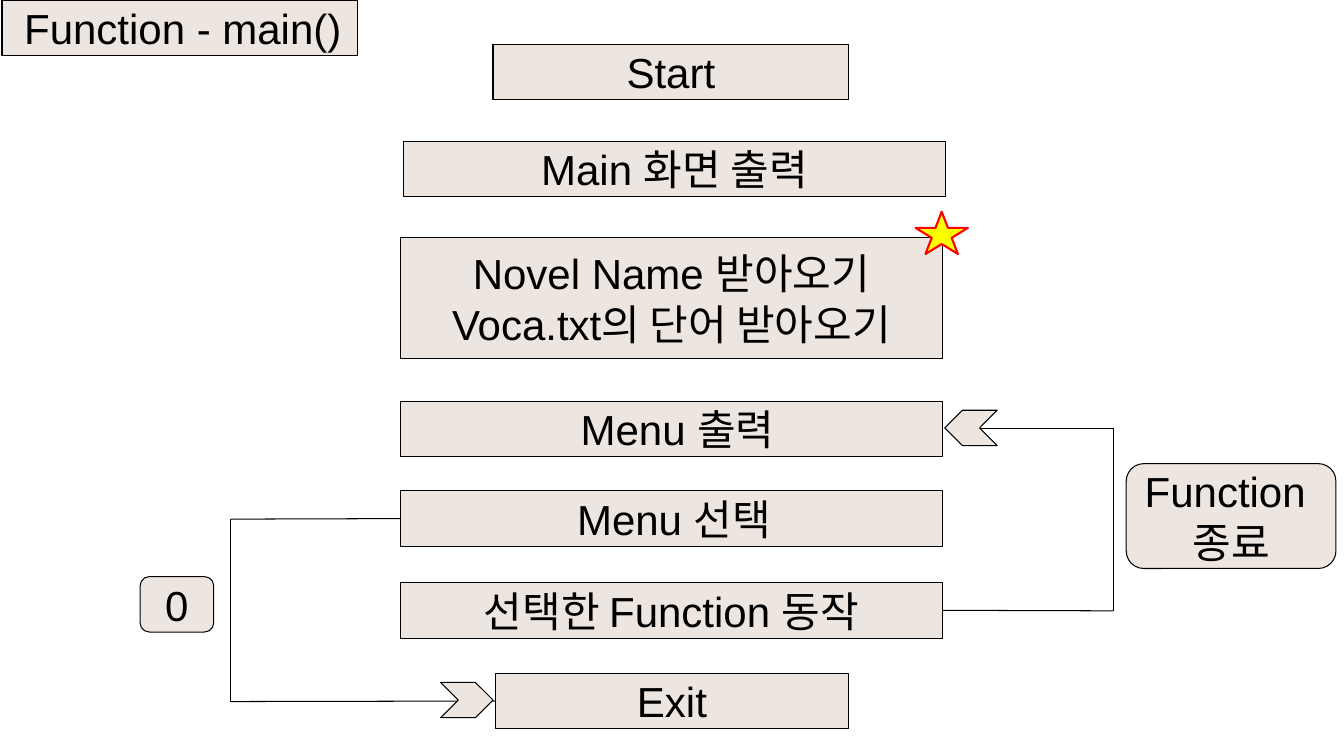
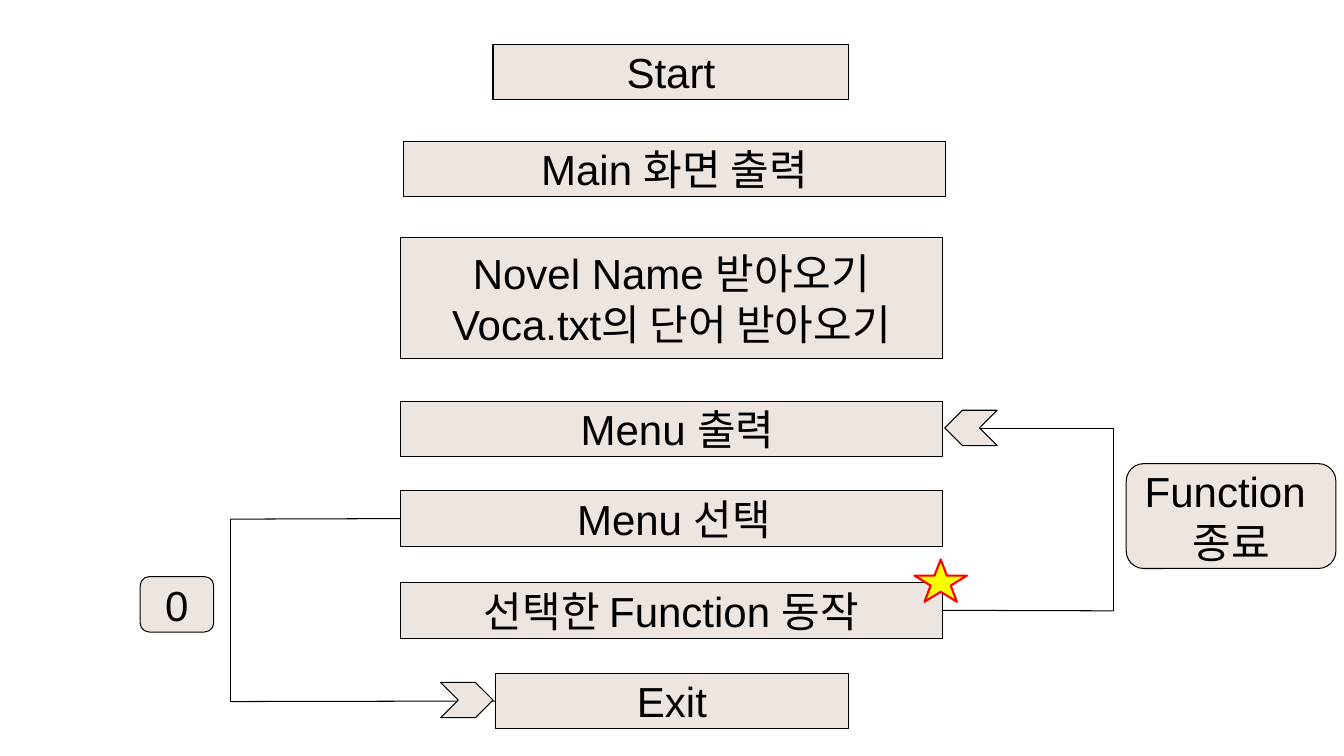
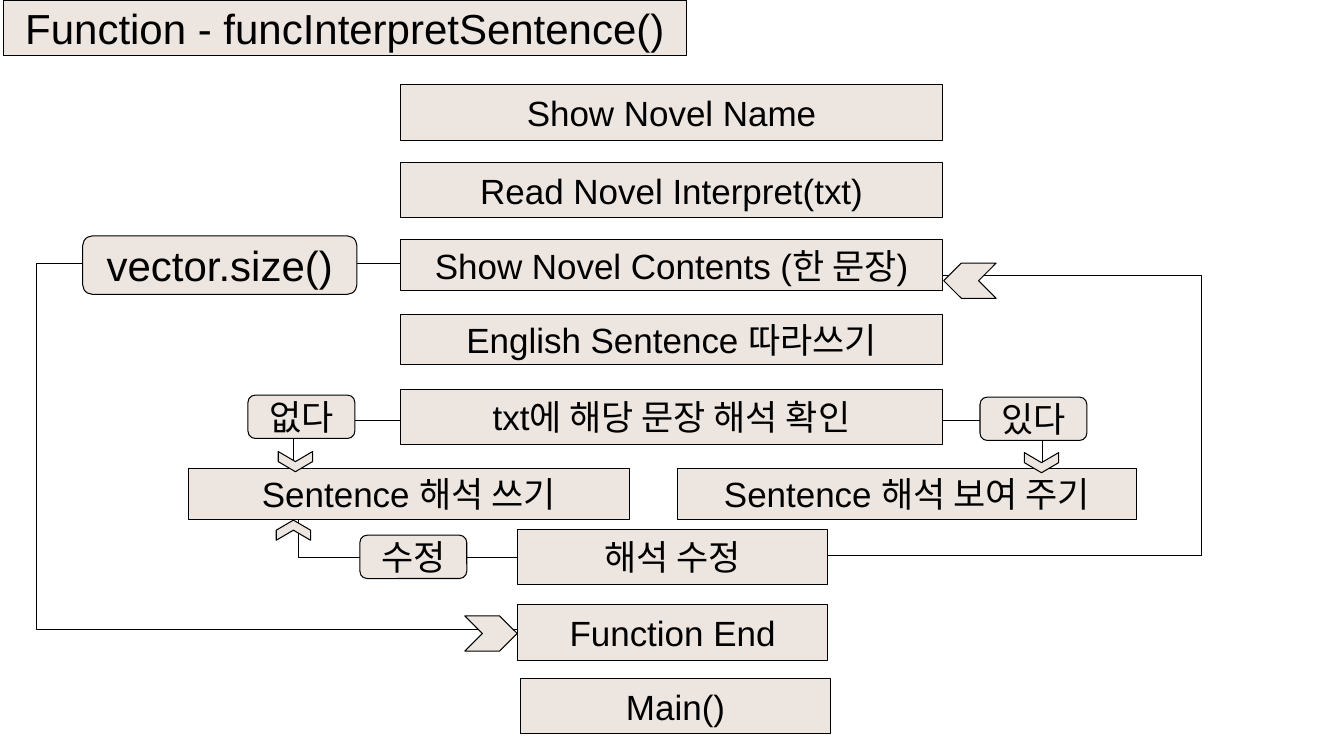
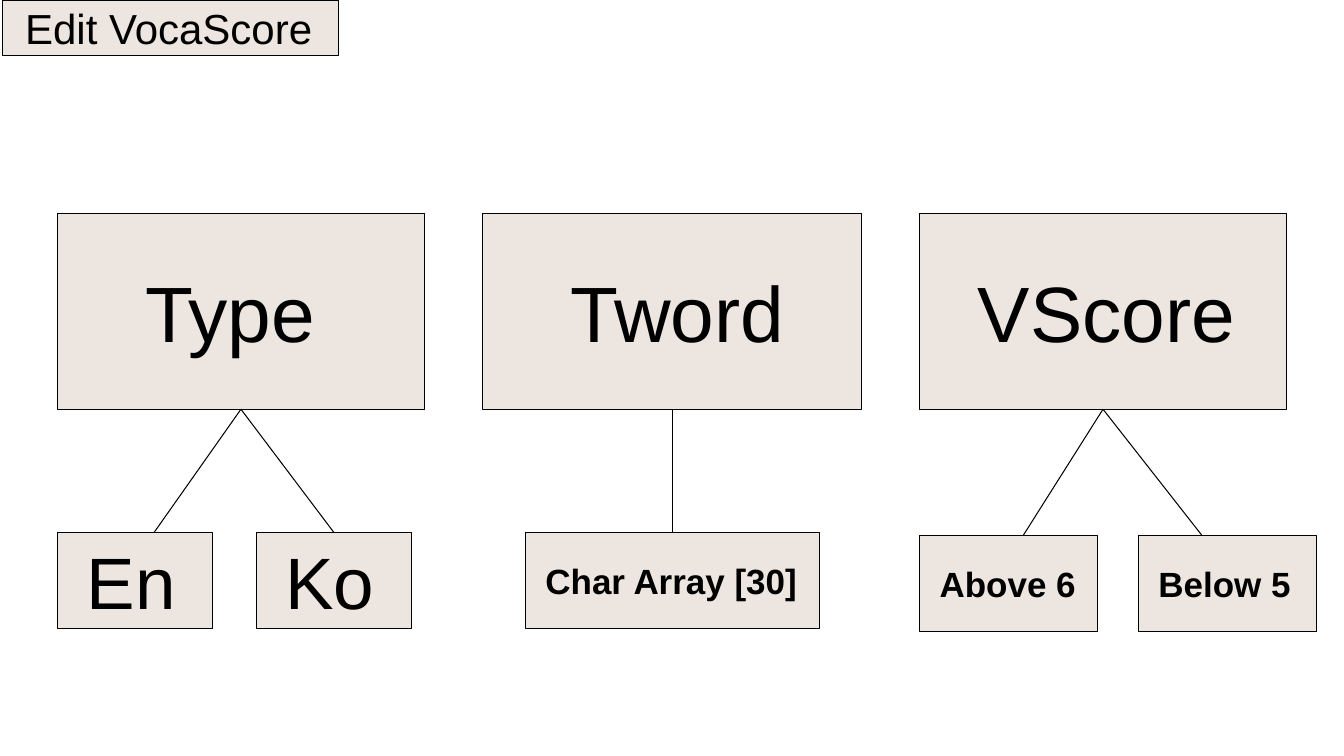
from dataclasses import dataclass
from typing import Any

from lxml import etree
from pptx import Presentation
from pptx import util as u
from pptx.dml.color import RGBColor
from pptx.enum import shapes, text
from pptx.oxml.ns import qn

COLORS = {"box": "EDE5DF", "ink": "000000", "star": "FFFF00", "star_edge": "FF0000"}
FONT = "Arial"
INSET = 0.1
BAR_HEIGHT = 0.55
WIDE = 5.38
KIND = shapes.MSO_SHAPE
TOP, LEFT, BOTTOM, RIGHT = range(4)


def color(name):
    return RGBColor.from_string(COLORS[name])


def paint_line(shape, name="ink", width=0.75):
    shape.line.color.rgb = color(name)
    shape.line.width = u.Pt(width)


@dataclass
class Region:
    """Part of a slide; every position is measured from its left top corner."""
    slide: Any
    left: float
    top: float

    def point(self, x, y):
        return u.Inches(self.left + x), u.Inches(self.top + y)

    def shape(self, kind, x, y, width, height, fill="box", edge="ink", edge_width=0.75, turn=0):
        shape = self.slide.shapes.add_shape(
            kind, *self.point(x, y), u.Inches(width), u.Inches(height))
        shape.shadow.inherit = False
        shape.fill.solid()
        shape.fill.fore_color.rgb = color(fill)
        paint_line(shape, edge, edge_width)
        shape.rotation = turn
        return shape

    def box(self, x, y, width, height, *lines, size=30, bold=False, indent=0,
            centered=True, kind=KIND.RECTANGLE):
        shape = self.shape(kind, x, y, width, height)
        frame = shape.text_frame
        frame.word_wrap = True
        frame.vertical_anchor = text.MSO_ANCHOR.MIDDLE
        frame.margin_top = frame.margin_right = frame.margin_bottom = u.Inches(INSET)
        frame.margin_left = u.Inches(INSET + indent)
        for index, line in enumerate(lines):
            paragraph = frame.add_paragraph() if index else frame.paragraphs[0]
            paragraph.alignment = text.PP_ALIGN.CENTER if centered else text.PP_ALIGN.LEFT
            run = paragraph.add_run()
            run.text = line
            run.font.name = FONT
            run.font.size = u.Pt(size)
            run.font.bold = bold
            run.font.color.rgb = color("ink")
        return shape

    def label(self, x, y, width, height, *lines, size=30):
        return self.box(x, y, width, height, *lines, size=size, kind=KIND.ROUNDED_RECTANGLE)

    def chevron(self, x, y, turn=0, width=0.52, height=0.35):
        return self.shape(KIND.CHEVRON, x, y, width, height, turn=turn)

    def connector(self, start, end, begin=None, finish=None):
        """begin and finish are (shape, side) pairs to join."""
        line = self.slide.shapes.add_connector(
            shapes.MSO_CONNECTOR.STRAIGHT, *self.point(*start), *self.point(*end))
        if begin:
            line.begin_connect(*begin)
        if finish:
            line.end_connect(*finish)
        paint_line(line)
        properties = line._element.find(qn("p:spPr"))
        etree.SubElement(properties, qn("a:effectLst"))

    def path_line(self, *points):
        start, *rest = [self.point(*point) for point in points]
        builder = self.slide.shapes.build_freeform(*start)
        builder.add_line_segments(rest, close=False)
        shape = builder.convert_to_shape()
        shape.shadow.inherit = False
        shape.fill.background()
        paint_line(shape)


def title_tab(slide, left, width, title):
    Region(slide, left, 0).box(0, 0, width, BAR_HEIGHT, title, indent=0.12, centered=False)


# Main program flow
def main_steps(slide, left, top):
    region = Region(slide, left, top)
    region.box(0.92, 0, 3.53, BAR_HEIGHT, "Start")
    region.box(0.03, 0.96, WIDE, BAR_HEIGHT, "Main 화면 출력")
    region.box(0, 1.92, WIDE, 1.2, "Novel Name 받아오기", "Voca.txt의 단어 받아오기")
    show = region.box(0, 3.54, WIDE, BAR_HEIGHT, "Menu 출력", indent=0.12)
    choose = region.box(0, 4.43, WIDE, BAR_HEIGHT, "Menu 선택", indent=0.05)
    action = region.box(0, 5.34, WIDE, BAR_HEIGHT, "선택한 Function 동작")
    leave = region.box(0.94, 6.24, 3.51, BAR_HEIGHT, "Exit")
    return show, choose, action, leave


def exit_branch(slide, left, top, choose, leave):
    region = Region(slide, left, top)
    region.connector((2.58, 0), (0.9, 0), begin=(choose, LEFT))
    region.connector((0.9, 0), (0.9, 1.81))
    region.connector((0.9, 1.81), (3.52, 1.81), finish=(leave, LEFT))
    region.label(0, 0.57, 0.73, BAR_HEIGHT, "0")
    region.chevron(2.98, 1.62)


def return_branch(slide, left, top, action):
    region = Region(slide, left, top)
    region.connector((1.69, 0.18), (0.36, 0.18))
    region.connector((0, 1.99), (1.69, 1.99), begin=(action, RIGHT))
    region.connector((1.69, 0.18), (1.69, 1.99))
    region.label(1.82, 0.53, 2.08, 1.04, "Function ", "종료")
    region.chevron(0.02, 0, turn=180)


def main_slide(slide, star):
    show, choose, action, leave = main_steps(slide, 3.97, 0.44)
    exit_branch(slide, 1.39, 5.15, choose, leave)
    return_branch(slide, 9.35, 4.07, action)
    Region(slide, *star).shape(KIND.STAR_5_POINT, 0, 0, 0.52, 0.42,
                               fill="star", edge="star_edge", edge_width=1.5)


# Sentence interpretation flow
def sentence_steps(slide, left, top):
    region = Region(slide, left, top)
    steps = [
        (0, 0, WIDE, 0.55, "Show Novel Name"),
        (0, 0.77, WIDE, 0.55, "Read Novel Interpret(txt)"),
        (0, 1.54, WIDE, 0.5, "Show Novel Contents (한 문장)"),
        (0, 2.28, WIDE, 0.5, "English Sentence 따라쓰기"),
        (0, 3.02, WIDE, 0.55, "txt에 해당 문장 해석 확인"),
        (-2.1, 3.81, 4.37, 0.5, "Sentence 해석 쓰기"),
        (2.75, 3.81, 4.55, 0.5, "Sentence 해석 보여 주기"),
        (1.16, 4.41, 3.08, 0.55, "해석 수정"),
        (1.16, 5.16, 3.08, 0.55, "Function End"),
        (1.19, 5.89, 3.08, 0.55, "Main()"),
    ]
    for step in steps:
        region.box(*step, size=25)


def sentence_branches(slide, left, top):
    region = Region(slide, left, top)
    # Lines
    region.path_line((1.16, 4.69), (-1.01, 4.69), (-1.01, 4.32))
    region.path_line((0, 3.33), (-1.06, 3.33), (-1.06, 3.81))
    region.path_line((WIDE, 3.33), (6.37, 3.33), (6.37, 3.8))
    region.path_line((4.24, 4.67), (7.95, 4.67), (7.95, 1.89), (WIDE, 1.89))
    region.path_line((0, 1.77), (-3.61, 1.77), (-3.61, 5.41), (1.16, 5.41))
    # Conditions on the lines
    for x, y, name in [(-0.4, 4.47, "수정"), (-1.51, 3.08, "없다"), (5.75, 3.1, "있다")]:
        region.label(x, y, 1.06, 0.43, name, size=25)
    region.label(-3.15, 1.5, 2.72, 0.58, "vector.size()")
    # Direction marks
    for x, y, turn in [(6.26, 3.58, 90), (-1.14, 3.57, 90), (-1.16, 4.25, 270)]:
        region.chevron(x, y, turn, width=0.2, height=0.34)
    region.chevron(5.39, 1.77, turn=180)
    region.chevron(0.64, 5.27)


def sentence_slide(slide):
    title_tab(slide, 0.03, 6.78, "Function - funcInterpretSentence()")
    sentence_steps(slide, 3.97, 0.84)
    sentence_branches(slide, 3.97, 0.84)


# Field with its possible values
def field_tree(slide, left, width, name, indent, drop, values, **style):
    """values holds (offset, width, text, indent, line end or None for the middle)."""
    region = Region(slide, left, 2.12)
    parent = region.box(0, 0, width, 1.94, name, size=56, indent=indent, centered=False)
    for x, value_width, value, value_indent, foot in values:
        child = region.box(x, drop, value_width, 0.96, value, indent=value_indent,
                           centered=False, **style)
        region.connector((width / 2, 1.94), (foot or x + value_width / 2, drop),
                         begin=(parent, BOTTOM), finish=None if foot else (child, TOP))


def score_slide(slide):
    title_tab(slide, 0.03, 3.33, "Edit VocaScore")
    field_tree(slide, 0.57, 3.64, "Type", 0.77, 3.16,
               [(0, 1.54, "En", 0.19, 0.96), (1.97, 1.54, "Ko", 0.19, None)], size=52)
    field_tree(slide, 4.79, 3.76, "Tword", 0.77, 3.16,
               [(0.42, 2.92, "Char Array [30]", 0.1, None)], size=25, bold=True)
    field_tree(slide, 9.12, 3.64, "VScore", 0.48, 3.19,
               [(0, 1.77, "Above 6", 0.1, 1.03), (2.17, 1.77, "Below 5", 0.1, 2.8)],
               size=25, bold=True)


def main():
    presentation = Presentation()
    presentation.slide_width = u.Inches(13.33)
    presentation.slide_height = u.Inches(7.5)
    blank = presentation.slide_layouts[6]
    first, second, third, fourth = [presentation.slides.add_slide(blank) for _ in range(4)]
    main_slide(first, star=(9.08, 2.1))
    title_tab(first, 0.02, 3.53, "Function - main()")
    main_slide(second, star=(9.07, 5.55))
    sentence_slide(third)
    score_slide(fourth)
    presentation.save("out.pptx")


if __name__ == "__main__":
    main()
